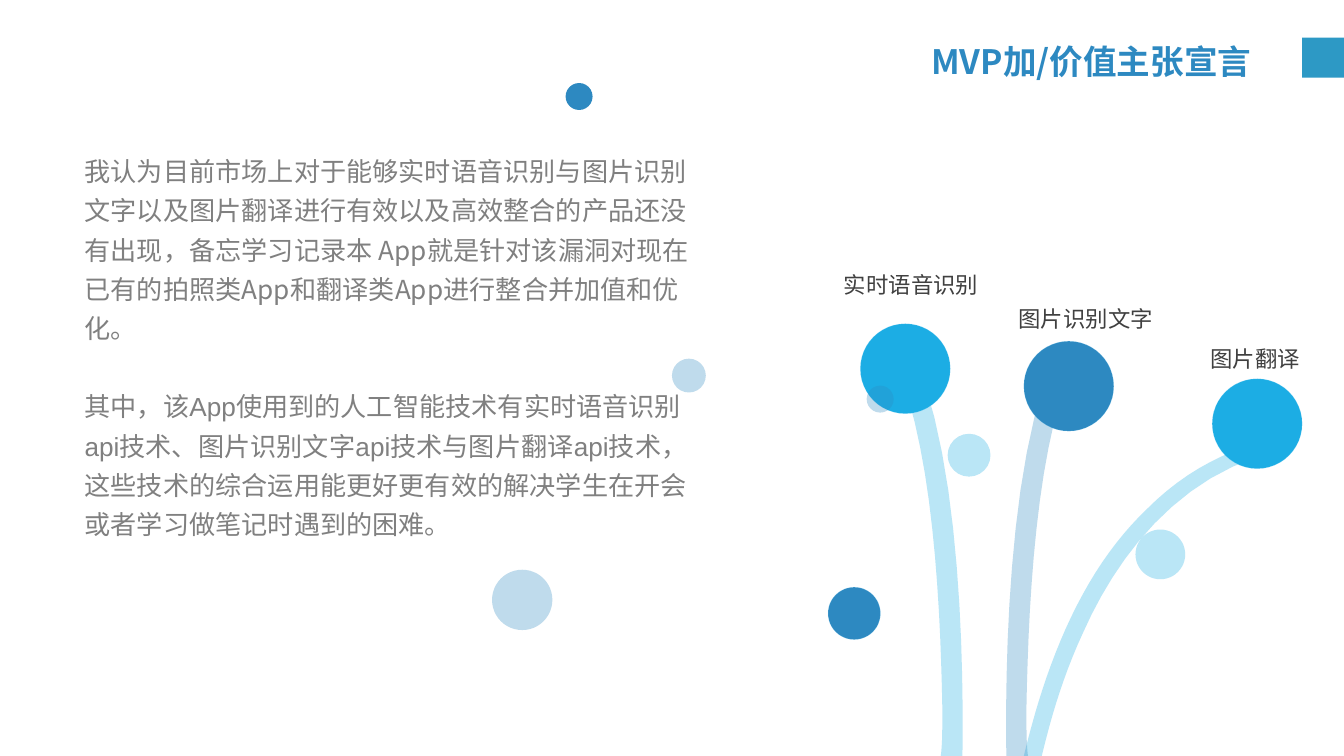
"""Build the MVP value proposition slide with a bouquet of three features."""
from dataclasses import dataclass

from lxml import etree
from pptx import Presentation
from pptx import util as u
from pptx.dml.color import RGBColor
from pptx.enum import shapes, text
from pptx.oxml.ns import qn


@dataclass(frozen=True)
class Theme:
    blue: str = "2D89C1"
    sky: str = "1CADE4"
    accent: str = "2D99C5"
    outline: str = "A4E2FE"
    body_color: str = "808080"
    label_color: str = "404040"
    cjk: str = "Noto Sans CJK SC"
    latin: str = "Arial"
    title_size: float = 18
    title_pitch: float = 21.4
    body_size: float = 14
    body_pitch: float = 21
    label_size: float = 12
    label_pitch: float = 14.4
    soft: int = 30


THEME = Theme()
SLIDE_SIZE = (25.4, 14.29)
TITLE = "MVP加/价值主张宣言"
TITLE_BOX = (17.32, 0.66, 6.88, 1.9)
TAB_BOX = (24.61, 0.71, 0.79, 0.76)
BODY_BOX = (1.35, 2.67, 11.99, 8.48)
BODY = [
    ("我认为目前市场上对于能够实时语音识别与图片识别文字以及图片翻译进行有效以及高效整合的产品还没有出现，"
     "备忘学习记录本 App就是针对该漏洞对现在已有的拍照类App和翻译类App进行整合并加值和优化。", THEME.cjk),
    ("其中，该App使用到的人工智能技术有实时语音识别api技术、图片识别文字api技术与图片翻译api技术，"
     "这些技术的综合运用能更好更有效的解决学生在开会或者学习做笔记时遇到的困难。", THEME.latin),
]
LABELS = [
    ("图片识别文字", (19, 5.64, 3.07, 0.76)),
    ("实时语音识别", (15.7, 5, 4.39, 0.64)),
    ("图片翻译", (22.63, 6.4, 2.24, 0.76)),
]
FLOWERS = [
    (15.65, 11.1, 0.99, THEME.blue),
    (19.35, 6.45, 1.7, THEME.blue),
    (16.26, 6.12, 1.7, THEME.sky),
    (22.91, 7.16, 1.7, THEME.sky),
]
DOTS = [
    (9.3, 10.77, 1.14, THEME.blue, THEME.soft),
    (10.69, 1.57, 0.51, THEME.blue, 100),
    (21.46, 10.01, 0.94, THEME.sky, THEME.soft),
    (17.91, 8.2, 0.81, THEME.sky, THEME.soft),
    (16.38, 7.29, 0.51, THEME.blue, THEME.soft),
    (12.7, 6.78, 0.64, THEME.blue, THEME.soft),
]
CURVED_STEM = [
    [(24.49, 8.33)],
    [(24.46, 8.28), (24.38, 8.23), (24.28, 8.26)],
    [(23.29, 8.43), (22.4, 8.89), (21.67, 9.63)],
    [(21.06, 10.21), (20.55, 10.97), (20.14, 11.89)],
    [(19.71, 12.85), (19.48, 13.77), (19.35, 14.29)],
    [(19.69, 14.29)],
    [(19.81, 13.79), (20.04, 12.88), (20.47, 11.96)],
    [(21.06, 10.62), (22.23, 8.94), (24.23, 8.51)],
    [(24.28, 8.51), (24.33, 8.51), (24.36, 8.48)],
    [(24.46, 8.48), (24.51, 8.41), (24.49, 8.33)],
]
UPRIGHT_STEM = [
    [(17.27, 6.71)],
    [(17.25, 6.63), (17.15, 6.58), (17.04, 6.6)],
    [(16.92, 6.63), (16.87, 6.71), (16.89, 6.78)],
    [(17.02, 7.01), (17.09, 7.26), (17.17, 7.54)],
    [(17.68, 9.27), (17.78, 11.76), (17.81, 13.39)],
    [(17.81, 13.77), (17.81, 14.1), (17.78, 14.29)],
    [(18.19, 14.29)],
    [(18.21, 12.78), (18.19, 8.79), (17.27, 6.71)],
]
MIRROR_SUM = 37.21
CURVE_STEPS = 12


def lengths(values):
    return [u.Cm(value) for value in values]


def set_solid(fill, color, opacity=100):
    fill.solid()
    fill.fore_color.rgb = RGBColor.from_string(color)
    if opacity < 100:
        solid = fill._xPr.find(qn("a:solidFill"))
        etree.SubElement(solid[0], qn("a:alpha"), val=str(opacity * 1000))


def paint(shape, color, opacity=100, outline=None):
    shape.shadow.inherit = False
    set_solid(shape.fill, color, opacity)
    if outline:
        shape.line.width = u.Pt(0.25)
        set_solid(shape.line.fill, outline, THEME.soft)
    else:
        shape.line.fill.background()


def add_circle(slide, left, top, diameter, color, opacity=100, outline=None):
    box = lengths((left, top, diameter, diameter))
    paint(slide.shapes.add_shape(shapes.MSO_SHAPE.OVAL, *box), color, opacity, outline)


def flatten(segments):
    points = list(segments[0])
    for segment in segments[1:]:
        if len(segment) == 1:
            points += segment
            continue
        controls = [points[-1], *segment]
        for step in range(1, CURVE_STEPS + 1):
            t = step / CURVE_STEPS
            weights = ((1 - t) ** 3, 3 * t * (1 - t) ** 2, 3 * t * t * (1 - t), t ** 3)
            points.append(tuple(sum(w * point[axis] for w, point in zip(weights, controls))
                                for axis in (0, 1)))
    return points


def add_stem(slide, points, color):
    vertices = [lengths(point) for point in points]
    builder = slide.shapes.build_freeform(*vertices[0])
    builder.add_line_segments(vertices[1:], close=True)
    paint(builder.convert_to_shape(), color, THEME.soft)


def format_paragraph(paragraph, font_name, size, pitch, color, bold=False):
    paragraph.alignment = text.PP_ALIGN.LEFT
    paragraph.line_spacing = u.Pt(pitch)
    font = paragraph.font
    font.name, font.size, font.bold = font_name, u.Pt(size), bold
    font.color.rgb = RGBColor.from_string(color)
    properties = paragraph._p.pPr.find(qn("a:defRPr"))
    etree.SubElement(properties, qn("a:ea"), typeface=THEME.cjk)


def prepare_frame(shape):
    frame = shape.text_frame
    frame.word_wrap = True
    frame.auto_size = text.MSO_AUTO_SIZE.NONE
    frame.vertical_anchor = text.MSO_ANCHOR.TOP
    return frame


def add_title(slide):
    title = slide.shapes.title
    title.left, title.top, title.width, title.height = lengths(TITLE_BOX)
    frame = prepare_frame(title)
    frame.margin_left = frame.margin_right = u.Cm(0.28)
    frame.text = TITLE
    format_paragraph(frame.paragraphs[0], THEME.cjk, THEME.title_size,
                     THEME.title_pitch, THEME.blue, bold=True)


def add_body(slide):
    frame = prepare_frame(slide.shapes.add_textbox(*lengths(BODY_BOX)))
    frame.text = "\n".join(content for content, _ in BODY)
    for paragraph, (_, font_name) in zip(frame.paragraphs, BODY):
        format_paragraph(paragraph, font_name, THEME.body_size, THEME.body_pitch, THEME.body_color)
    frame.paragraphs[1].space_before = u.Pt(THEME.body_pitch)


def add_label(slide, content, box):
    frame = prepare_frame(slide.shapes.add_textbox(*lengths(box)))
    frame.margin_right = 0
    frame.text = content
    format_paragraph(frame.paragraphs[0], THEME.cjk, THEME.label_size,
                     THEME.label_pitch, THEME.label_color)


def main():
    presentation = Presentation()
    presentation.slide_width, presentation.slide_height = lengths(SLIDE_SIZE)
    slide = presentation.slides.add_slide(presentation.slide_layouts[5])
    add_title(slide)
    tab = slide.shapes.add_shape(shapes.MSO_SHAPE.RECTANGLE, *lengths(TAB_BOX))
    paint(tab, THEME.accent)
    upright = flatten(UPRIGHT_STEM)
    add_stem(slide, flatten(CURVED_STEM), THEME.sky)
    add_stem(slide, upright, THEME.sky)
    add_stem(slide, [(MIRROR_SUM - x, y) for x, y in upright], THEME.blue)
    for flower in FLOWERS:
        add_circle(slide, *flower, outline=THEME.outline)
    for content, box in LABELS:
        add_label(slide, content, box)
    add_body(slide)
    for dot in DOTS:
        add_circle(slide, *dot)
    presentation.save("out.pptx")


if __name__ == "__main__":
    main()
